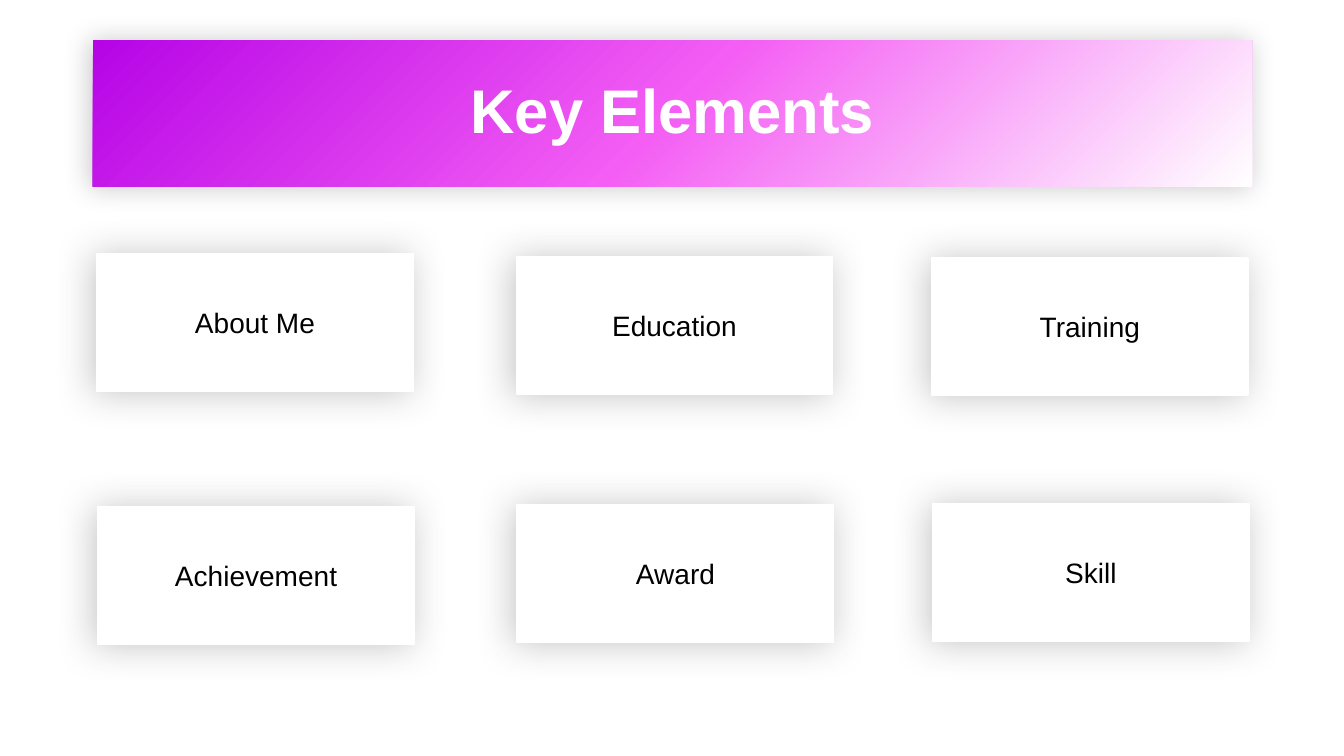
from copy import deepcopy

from lxml import etree
from pptx import Presentation
from pptx.dml.color import RGBColor
from pptx.enum import shapes, text
from pptx.oxml.ns import qn
from pptx.util import Inches, Pt

CARD_SIZE = (3.14, 1.36)
CARDS = [  # label, left, top
    ("About Me", 0.96, 2.52),
    ("Education", 5.12, 2.55),
    ("Award", 5.13, 5.01),
    ("Training", 9.24, 2.56),
    ("Skill", 9.25, 5),
    ("Achievement", 0.97, 5.03),
]
BANNER_STOPS = [(0, "B604E6"), (0.5, "F45EF4"), (1, "FFFFFF")]


def color(value):
    return RGBColor.from_string(value)


def add_shadow(box, value, opacity, blur, distance, angle):
    box.shadow.inherit = False
    effects = box._element.spPr.find(qn("a:effectLst"))
    shadow = etree.SubElement(
        effects, qn("a:outerShdw"), blurRad=str(Pt(blur)), dist=str(Pt(distance)),
        dir=str(angle * 60000), algn="ctr", rotWithShape="0")
    tint = etree.SubElement(shadow, qn("a:srgbClr"), val=value)
    etree.SubElement(tint, qn("a:alpha"), val=str(opacity * 1000))


def fill_gradient(box, stops):
    box.fill.gradient()
    box.fill.gradient_angle = 315  # counter-clockwise: top left to bottom right
    stop_list = box._element.spPr.find(qn("a:gradFill")).find(qn("a:gsLst"))
    stop_list.insert(1, deepcopy(stop_list[0]))
    for stop, (position, value) in zip(box.fill.gradient_stops, stops):
        stop.position = position
        stop.color.rgb = color(value)


def write(box, words, size, value, bold=False):
    frame = box.text_frame
    frame.text = words
    frame.word_wrap = True
    frame.auto_size = text.MSO_AUTO_SIZE.NONE
    frame.vertical_anchor = text.MSO_ANCHOR.MIDDLE
    para = frame.paragraphs[0]
    para.alignment = text.PP_ALIGN.CENTER
    para.font.name = "Arial"
    para.font.size = Pt(size)
    para.font.bold = bold
    para.font.color.rgb = color(value)
    return para


def format_banner(box, words):
    box.left, box.top = Inches(0.92), Inches(0.4)
    box.width, box.height = Inches(11.5), Inches(1.45)
    fill_gradient(box, BANNER_STOPS)
    add_shadow(box, "000000", 22, 19, 3, 182)
    write(box, words, 44, "FFFFFF", bold=True).line_spacing = 0.9


def add_card(page, label, left, top):
    box = page.shapes.add_shape(
        shapes.MSO_SHAPE.RECTANGLE, *map(Inches, (left, top, *CARD_SIZE)))
    box.fill.solid()
    box.fill.fore_color.rgb = color("FFFFFF")
    box.line.color.rgb = color("FFFFFF")
    box.line.width = Pt(1)
    add_shadow(box, "3F3F3F", 30, 27, 3, 168)
    write(box, label, 20, "000000")


def main():
    deck = Presentation()
    deck.slide_width, deck.slide_height = Inches(13.33), Inches(7.5)
    page = deck.slides.add_slide(deck.slide_layouts[5])

    # Title banner
    format_banner(page.shapes.title, "Key Elements")

    # Topic cards
    for label, left, top in CARDS:
        add_card(page, label, left, top)

    deck.save("out.pptx")


if __name__ == "__main__":
    main()
